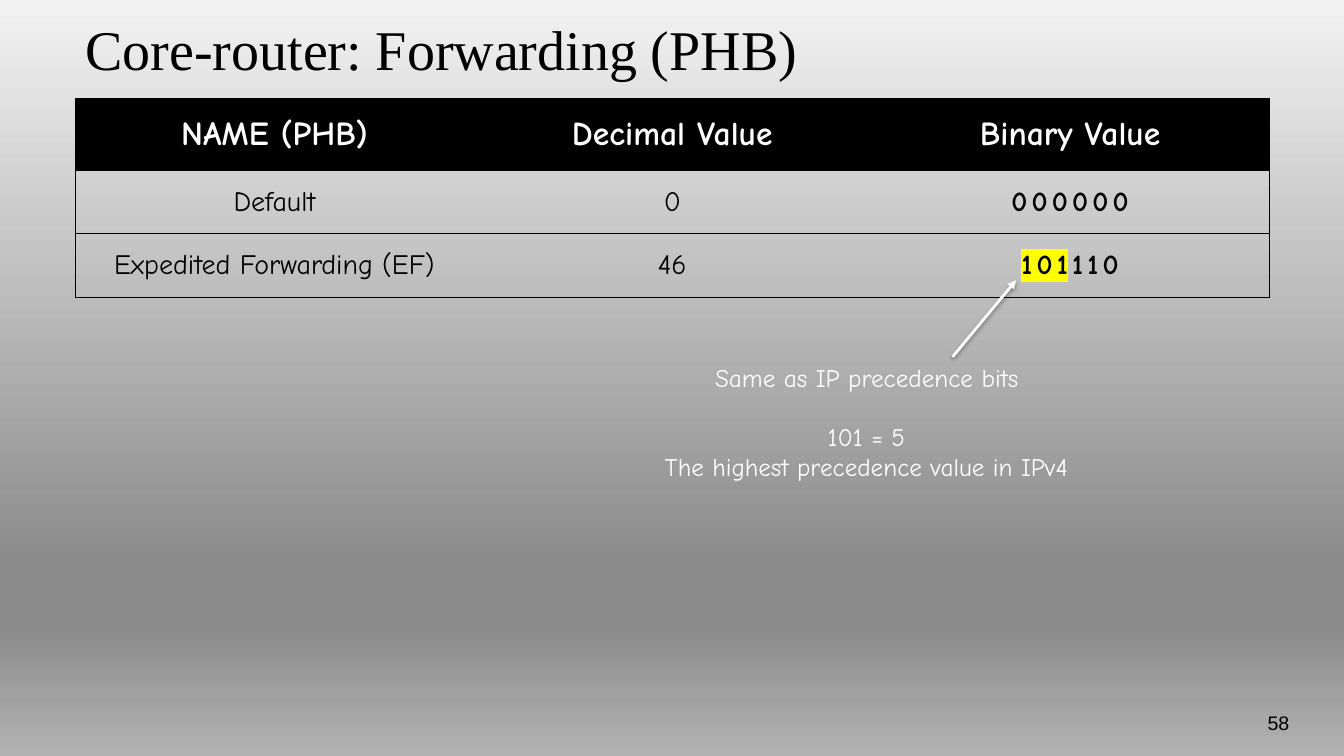
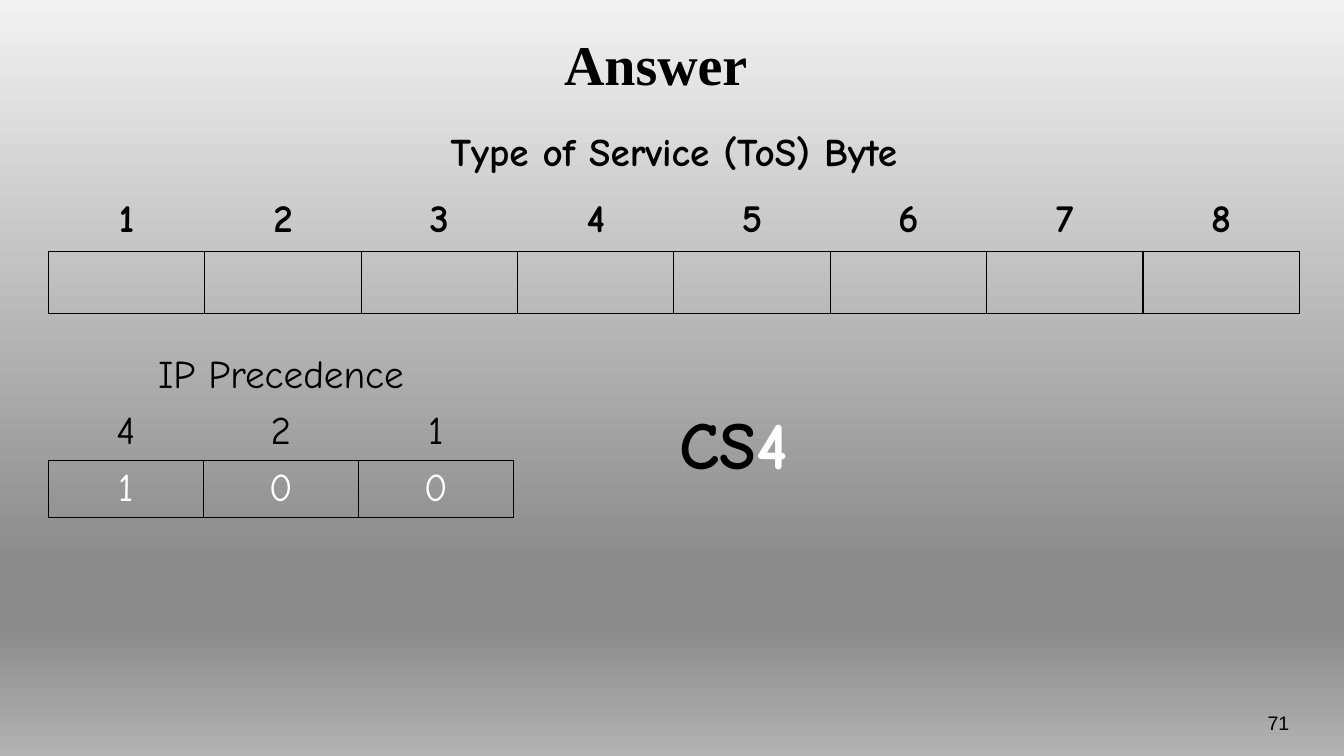
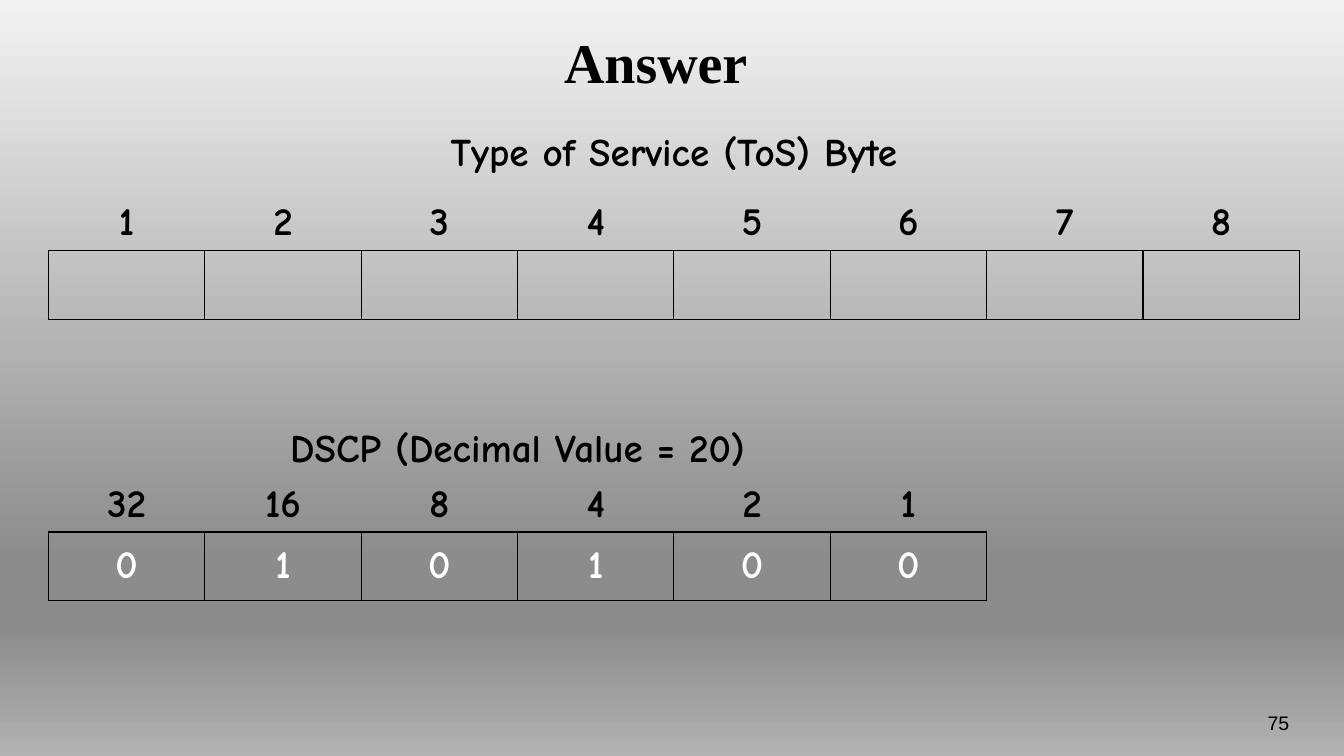
"""Build three slides on per-hop behaviour, IP precedence and DSCP values."""
from dataclasses import dataclass

from lxml.etree import SubElement
from pptx import Presentation
from pptx.dml.color import RGBColor
from pptx.enum.shapes import MSO_CONNECTOR as Connector
from pptx.enum.text import MSO_ANCHOR as Anchor, MSO_AUTO_SIZE as AutoSize, PP_ALIGN as Align
from pptx.oxml import parse_xml
from pptx.oxml.ns import nsdecls, qn
from pptx.util import Pt


@dataclass(frozen=True)
class Theme:
    black: str = "000000"
    white: str = "FFFFFF"
    highlight: str = "FFFF00"
    backdrop: tuple = ((0, "F2F2F2"), (74, "8C8C8C"), (83, "8C8C8C"), (100, "B2B2B2"))
    title_font: str = "Times New Roman"
    body_font: str = "Comic Neue"
    number_font: str = "Arial"
    title: int = 40
    class_name: int = 48
    bits: int = 28
    header: int = 24
    body: int = 20
    note: int = 18
    number: int = 14
    no_grid: str = "{2D5ABB26-0587-4C30-8999-92F81FD0307C}"


theme = Theme()


def style_text(text_frame, size, color=theme.black, bold=False, font=theme.body_font, align=Align.CENTER):
    for paragraph in text_frame.paragraphs:
        paragraph.alignment = align
        for run in paragraph.runs:
            run.font.size = Pt(size)
            run.font.bold = bold
            run.font.name = font
            run.font.color.rgb = RGBColor.from_string(color)


def add_grid(slide, left, top, width, heights, rows, border, edges):
    columns = max(len(row) for row in rows)
    frame = slide.shapes.add_table(len(rows), columns, Pt(left), Pt(top), Pt(width), Pt(sum(heights)))
    table = frame.table
    table.first_row = table.horz_banding = False
    table._tbl.tblPr.find(qn("a:tableStyleId")).text = theme.no_grid
    for column in table.columns:
        column.width = Pt(width / columns)
    for row_index, (height, row) in enumerate(zip(heights, rows)):
        table.rows[row_index].height = Pt(height)
        if len(row) == 1:
            table.cell(row_index, 0).merge(table.cell(row_index, columns - 1))
        for column_index, text in enumerate(row):
            cell = table.cell(row_index, column_index)
            cell.text_frame.text = text
            cell.vertical_anchor = Anchor.MIDDLE
            for side in edges(row_index, column_index):
                line = SubElement(cell._tc.tcPr, qn(f"a:ln{side}"), w=str(Pt(border)))
                fill = SubElement(line, qn("a:solidFill"))
                SubElement(fill, qn("a:srgbClr"), val=theme.black)
            cell.fill.background()
    return table


presentation = Presentation()
presentation.slide_width, presentation.slide_height = Pt(960), Pt(540)

background = presentation.slide_master.background
background.fill.gradient()
background.fill.gradient_angle = 270
stops = next(background._cSld.iter(qn("a:gsLst")))
for stop in list(stops):
    stops.remove(stop)
for position, color in theme.backdrop:
    stop = SubElement(stops, qn("a:gs"), pos=str(position * 1000))
    SubElement(stop, qn("a:srgbClr"), val=color)

slides = []
for text, frame, bold, align in (
    ("Core-router: Forwarding (PHB)", (54, 0, 852.5, 68.4), False, Align.LEFT),
    ("Answer", (60.5, 23, 815.8, 43.9), True, Align.CENTER),
    ("Answer", (60.5, 23, 815.8, 41), True, Align.CENTER),
):
    slide = presentation.slides.add_slide(presentation.slide_layouts[5])
    title = slide.shapes.title
    title.left, title.top, title.width, title.height = map(Pt, frame)
    title.text_frame.text = text
    title.text_frame.auto_size = AutoSize.NONE
    title.text_frame.vertical_anchor = Anchor.MIDDLE
    style_text(title.text_frame, theme.title, bold=bold, font=theme.title_font, align=align)
    slides.append(slide)
forwarding_slide, precedence_slide, dscp_slide = slides

behaviours = add_grid(
    forwarding_slide, 54, 70, 852.5, (51.6, 45.4, 45.4),
    (
        ("NAME (PHB)", "Decimal Value", "Binary Value"),
        ("Default", "0", "000000"),
        ("Expedited Forwarding (EF)", "46", "101"),
    ),
    0.75, lambda row, column: ("LTB", "TB", "RTB")[column],
)
behaviours.cell(2, 2).text_frame.paragraphs[0].add_run().text = "110"
for row_index in range(3):
    for column_index in range(3):
        cell = behaviours.cell(row_index, column_index)
        if row_index == 0:
            cell.fill.solid()
            cell.fill.fore_color.rgb = RGBColor.from_string(theme.black)
            style_text(cell.text_frame, theme.header, theme.white, True)
        else:
            style_text(cell.text_frame, theme.body, bold=column_index == 2)
    if row_index > 0:
        for run in cell.text_frame.paragraphs[0].runs:
            run._r.get_or_add_rPr().set("spc", "300")
precedence_bits = behaviours.cell(2, 2).text_frame.paragraphs[0].runs[0]
precedence_bits._r.rPr.find(qn("a:solidFill")).addnext(parse_xml(
    f'<a:highlight {nsdecls("a")}><a:srgbClr val="{theme.highlight}"/></a:highlight>'
))

arrow = forwarding_slide.shapes.add_connector(Connector.STRAIGHT, Pt(680.4), Pt(254.9), Pt(725.8), Pt(200.2))
arrow.line.color.rgb = RGBColor.from_string(theme.white)
arrow.line.width = Pt(2)
SubElement(arrow.line._get_or_add_ln(), qn("a:tailEnd"), type="triangle")
arrow._element.spPr.append(parse_xml(
    f'<a:effectLst {nsdecls("a")}><a:outerShdw blurRad="{Pt(3.1)}" dist="{Pt(1.6)}" dir="5400000" rotWithShape="0">'
    f'<a:srgbClr val="{theme.black}"><a:alpha val="38000"/></a:srgbClr></a:outerShdw></a:effectLst>'
))

tos_rows = (("Type of Service (ToS) Byte",), tuple("12345678"), ("",) * 8)
precedence_rows = (("IP Precedence",), ("4", "2", "1"), tuple("100"))
dscp_rows = (("DSCP (Decimal Value = 20)",), ("32", "16", "8", "4", "2", "1"), tuple("010100"))
for slide, top, width, heights, rows, bold, heading_anchor in (
    (precedence_slide, 90, 893.5, (45, 44.5, 44.5), tos_rows, True, Anchor.TOP),
    (precedence_slide, 247.7, 332, (40.6, 40.6, 40.6), precedence_rows, False, Anchor.BOTTOM),
    (dscp_slide, 90, 893.5, (49.7, 38.9, 48.9), tos_rows, True, Anchor.TOP),
    (dscp_slide, 290.9, 670.2, (49.7, 38.9, 48.9), dscp_rows, True, Anchor.BOTTOM),
):
    bit_table = add_grid(
        slide, 34.6, top, width, heights, rows, 1,
        lambda row, column: "LRTB" if row == 2 else "",
    )
    bit_table.cell(0, 0).vertical_anchor = heading_anchor
    for row_index, row in enumerate(rows):
        color = theme.white if row_index == 2 else theme.black
        for column_index in range(len(row)):
            style_text(bit_table.cell(row_index, column_index).text_frame, theme.bits, color, bold)

number_style = (theme.number, theme.black, False, theme.number_font, Align.RIGHT)
note_style = (theme.note, theme.white)
class_style = (theme.class_name, theme.black, True)
labels = [(slide, number, (856.8, 504, 71.3, 36), number_style) for slide, number in zip(slides, ("58", "71", "75"))]
labels += [
    (forwarding_slide, "Same as IP precedence bits", (480.2, 255.6, 277.9, 28.8), note_style),
    (forwarding_slide, "101 = 5\nThe highest precedence value in IPv4", (425.5, 297.4, 386.6, 51.1), note_style),
    (precedence_slide, "CS", (453.6, 283.7, 140.4, 65.5), class_style),
]
for slide, text, frame, style in labels:
    text_frame = slide.shapes.add_textbox(*map(Pt, frame)).text_frame
    text_frame.word_wrap = True
    text_frame.auto_size = AutoSize.NONE if style is number_style else AutoSize.SHAPE_TO_FIT_TEXT
    text_frame.text = text
    if style is class_style:
        text_frame.paragraphs[0].add_run().text = "4"
    style_text(text_frame, *style)
    if style is class_style:
        text_frame.paragraphs[0].runs[1].font.color.rgb = RGBColor.from_string(theme.white)

presentation.save("out.pptx")
